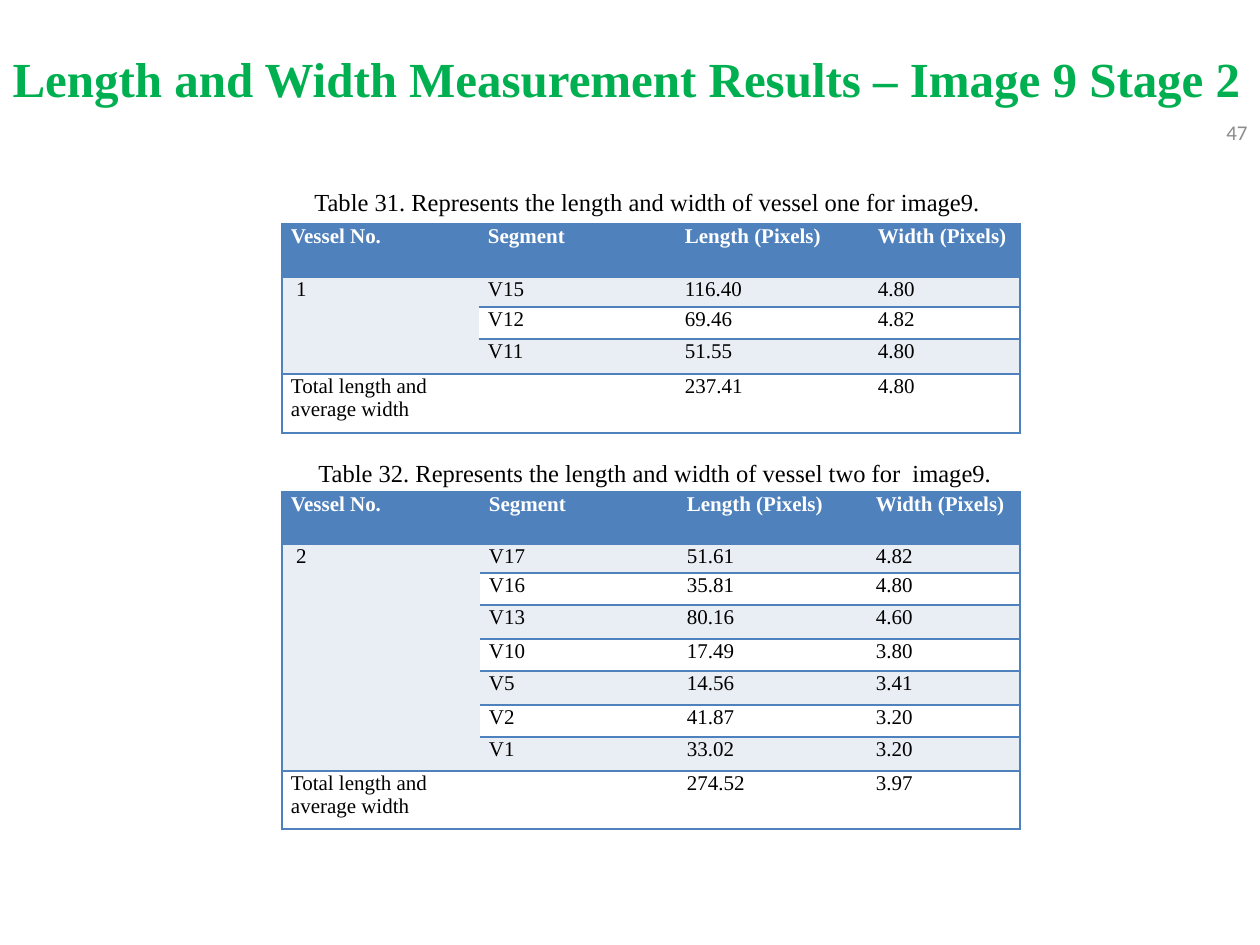
from dataclasses import dataclass

from lxml.etree import SubElement
from pptx import Presentation
from pptx.dml.color import RGBColor
from pptx.enum.text import MSO_ANCHOR, MSO_AUTO_SIZE, PP_ALIGN
from pptx.oxml.ns import qn
from pptx.util import Emu, Pt

SERIF = "Times New Roman"
BLUE, PALE, WHITE, BLACK = "4F81BD", "E9EDF4", "FFFFFF", "000000"
PLAIN_GRID = "{2D5ABB26-0587-4C30-8999-92F81FD0307C}"
HEADS = ("Vessel No.", "Segment", "Length (Pixels)", "Width (Pixels)")


@dataclass
class Vessel:
    number: str
    caption: str
    label: tuple[int, int, int, int]
    top: int
    cols: tuple[int, ...]
    rows: tuple[int, ...]
    segments: list[tuple[str, str, str]]
    total: tuple[str, str]


VESSELS = [
    Vessel(
        "1", "Table 31. Represents the length and width of vessel one for image9.",
        (302, 181, 906, 43), 224, (197, 197, 193, 151), (53, 30, 32, 35, 59),
        [("V15", "116.40", "4.80"), ("V12", "69.46", "4.82"), ("V11", "51.55", "4.80")],
        ("237.41", "4.80"),
    ),
    Vessel(
        "2", "Table 32. Represents the length and width of vessel two for  image9.",
        (306, 452, 742, 43), 492, (198, 198, 189, 153),
        (52, 29, 32, 34, 32, 34, 32, 34, 58),
        [("V17", "51.61", "4.82"), ("V16", "35.81", "4.80"), ("V13", "80.16", "4.60"),
         ("V10", "17.49", "3.80"), ("V5", "14.56", "3.41"), ("V2", "41.87", "3.20"),
         ("V1", "33.02", "3.20")],
        ("274.52", "3.97"),
    ),
]


def px(n: int) -> Emu:
    return Emu(round(n * 914400 / 126))


def tint(code: str) -> RGBColor:
    return RGBColor.from_string(code)


def style(para, size: int, color: str, bold: bool = False, face: str = SERIF) -> None:
    font = para.font
    font.name, font.size, font.bold = face, Pt(size), bold
    font.color.rgb = tint(color)


def place(shape, box: tuple[int, int, int, int]) -> None:
    shape.left, shape.top, shape.width, shape.height = map(px, box)


def add_text(slide, text: str, box: tuple[int, int, int, int]):
    frame = slide.shapes.add_textbox(*map(px, box)).text_frame
    frame.word_wrap = True
    frame.text = text
    return frame


def edge(cell, sides: list[str]) -> None:
    """Draw blue lines on the named sides; call before filling the cell."""
    props = cell._tc.get_or_add_tcPr()
    for side in sides:
        line = SubElement(props, qn(f"a:ln{side}"), w=str(Pt(1)))
        fill = SubElement(line, qn("a:solidFill"))
        SubElement(fill, qn("a:srgbClr"), val=BLUE)


def add_table(slide, vessel: Vessel) -> None:
    body = [("", *segment) for segment in vessel.segments]
    body[0] = (f" {vessel.number}", *vessel.segments[0])
    data = [HEADS, *body, ("Total length and average width", "", *vessel.total)]
    box = (282, vessel.top, sum(vessel.cols), sum(vessel.rows))
    frame = slide.shapes.add_table(len(data), len(HEADS), *map(px, box))
    table = frame.table
    table._tbl.tblPr.find(qn("a:tableStyleId")).text = PLAIN_GRID
    for col, width in zip(table.columns, vessel.cols):
        col.width = px(width)
    for row, height in zip(table.rows, vessel.rows):
        row.height = px(height)

    last = len(HEADS) - 1
    for r, texts in enumerate(data):
        for c, text in enumerate(texts):
            cell = table.cell(r, c)
            inner = c == 0 and 0 < r <= len(body)
            sides = ["L"] * (c == 0) + ["R"] * (c == last)
            sides += ["T"] * (not inner or r == 1)
            sides += ["B"] * (not inner or r == len(body))
            edge(cell, sides)
            cell.fill.solid()
            shade = BLUE if r == 0 else PALE if r % 2 or inner else WHITE
            if r == len(data) - 1:
                shade = WHITE
            cell.fill.fore_color.rgb = tint(shade)
            cell.margin_left = cell.margin_right = px(9)
            cell.margin_top, cell.margin_bottom = px(1), 0
            cell.text = text
            style(cell.text_frame.paragraphs[0], 12, BLACK if r else WHITE, r == 0)
    table.cell(1, 0).merge(table.cell(len(body), 0))


def main() -> None:
    deck = Presentation()
    deck.slide_width, deck.slide_height = px(1260), px(945)
    slide = deck.slides.add_slide(deck.slide_layouts[5])

    title = slide.shapes.title
    place(title, (0, 42, 1260, 123))
    frame = title.text_frame
    frame.text = "Length and Width Measurement Results – Image 9 Stage 2"
    frame.auto_size = MSO_AUTO_SIZE.NONE
    frame.vertical_anchor = MSO_ANCHOR.TOP
    para = frame.paragraphs[0]
    para.alignment = PP_ALIGN.JUSTIFY
    style(para, 28, "00B050", True)

    page = add_text(slide, "47", (966, 107, 294, 50))
    page.vertical_anchor = MSO_ANCHOR.MIDDLE
    page.paragraphs[0].alignment = PP_ALIGN.RIGHT
    style(page.paragraphs[0], 12, "8C8C8C", face="Calibri")

    for vessel in VESSELS:
        label = add_text(slide, vessel.caption, vessel.label)
        style(label.paragraphs[0], 14, BLACK)
        add_table(slide, vessel)

    deck.save("out.pptx")


if __name__ == "__main__":
    main()
